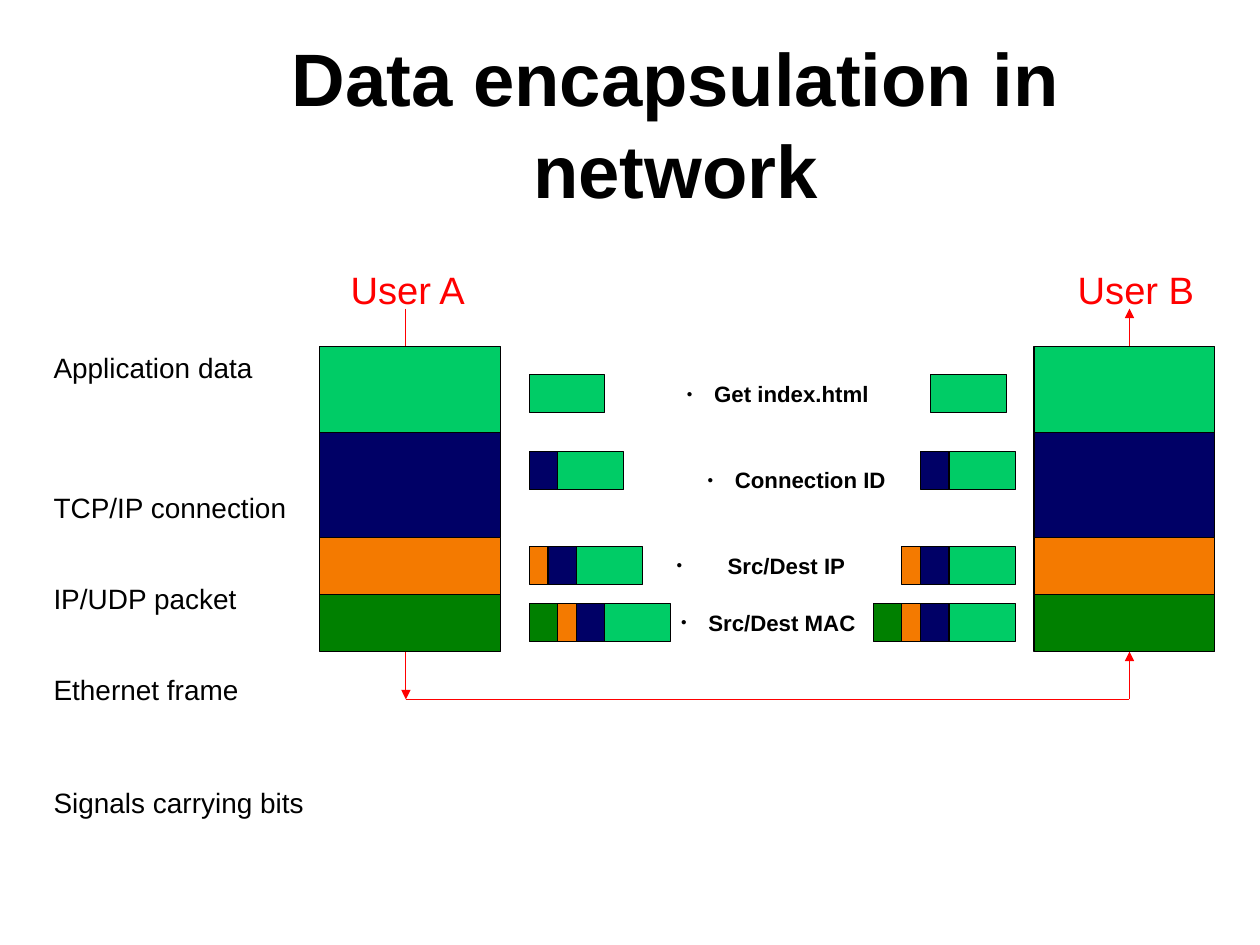
from dataclasses import dataclass

import pptx
import pptx.dml.color
import pptx.enum.shapes
import pptx.enum.text
import pptx.oxml.ns
import pptx.util
from lxml import etree
from pptx.util import Cm

ALIGN = pptx.enum.text.PP_ALIGN
ANCHOR = pptx.enum.text.MSO_ANCHOR


@dataclass(frozen=True)
class Theme:
    font: str = "Arial"
    text: str = "000000"
    accent: str = "FF0000"
    data: str = "00CC66"
    tcp: str = "000066"
    ip: str = "F47A00"
    ethernet: str = "008000"
    title_size: float = 46.8
    user_size: float = 24
    level_size: float = 17.6
    label_size: float = 14
    line_width: float = 0.75


@dataclass(frozen=True)
class Box:
    """A region of the slide, in centimetres."""
    left: float
    top: float
    width: float
    height: float

    def lengths(self):
        return Cm(self.left), Cm(self.top), Cm(self.width), Cm(self.height)


@dataclass(frozen=True)
class Layer:
    """A protocol layer; segments are (colour, start, length), payload first."""
    colour: str
    height: float
    packet_drop: float
    segments: tuple


THEME = Theme()
SEGMENT_UNIT = 0.21
PACKET_HEIGHT = 0.84
LAYERS = (
    Layer(THEME.data, 1.91, 0.63, ((THEME.data, 0, 8),)),
    Layer(THEME.tcp, 2.33, 0.43, ((THEME.data, 2, 8), (THEME.tcp, 0, 3))),
    Layer(THEME.ip, 1.27, 0.21,
          ((THEME.data, 4, 8), (THEME.tcp, 1, 4), (THEME.ip, 0, 2))),
    Layer(THEME.ethernet, 1.27, 0.21,
          ((THEME.data, 7, 8), (THEME.tcp, 4, 4), (THEME.ip, 1, 4),
           (THEME.ethernet, 0, 3))),
)
# Text, space before in points
LEVELS = (
    ("Application data", 0),
    ("TCP/IP connection", 67),
    ("IP/UDP packet", 36),
    ("Ethernet frame", 36),
    ("Signals carrying bits", 50),
)
# Text, left, top, hanging indent
PACKET_LABELS = (
    ("Get index.html", 15.01, 8.33, 0.61),
    ("Connection ID", 15.47, 10.24, 0.61),
    ("Src/Dest IP", 14.78, 12.14, 1.14),
    ("Src/Dest MAC", 14.88, 13.41, 0.61),
)


def rgb(colour):
    return pptx.dml.color.RGBColor.from_string(colour)


def add_child(parent, tag, **attributes):
    return etree.SubElement(parent, pptx.oxml.ns.qn(tag), attributes)


def add_bullet(paragraph, indent):
    properties = paragraph._p.get_or_add_pPr()
    properties.set("marL", str(Cm(indent)))
    properties.set("indent", str(-Cm(indent)))
    add_child(add_child(properties, "a:buClr"), "a:srgbClr", val=THEME.text)
    add_child(properties, "a:buSzPct", val="45000")
    add_child(properties, "a:buFont", typeface=THEME.font)
    add_child(properties, "a:buChar", char="●")


def write_text(paragraph, text, *, size, colour=THEME.text, bold=False,
               align=ALIGN.LEFT, space_before=0, line_spacing=None,
               bullet_indent=None):
    paragraph.alignment = align
    if space_before:
        paragraph.space_before = pptx.util.Pt(space_before)
    if line_spacing:
        paragraph.line_spacing = line_spacing
    if bullet_indent:
        add_bullet(paragraph, bullet_indent)
    run = paragraph.add_run()
    run.text = text
    run.font.name = THEME.font
    run.font.size = pptx.util.Pt(size)
    run.font.bold = bold
    run.font.color.rgb = rgb(colour)


def add_text_frame(slide, box):
    frame = slide.shapes.add_textbox(*box.lengths()).text_frame
    frame.word_wrap = True
    return frame


def add_block(slide, box, colour):
    block = slide.shapes.add_shape(
        pptx.enum.shapes.MSO_SHAPE.RECTANGLE, *box.lengths())
    block.shadow.inherit = False
    block.fill.solid()
    block.fill.fore_color.rgb = rgb(colour)
    block.line.color.rgb = rgb(THEME.text)
    block.line.width = pptx.util.Pt(THEME.line_width)


def add_line(slide, start, end, arrow=True):
    line = slide.shapes.add_connector(
        pptx.enum.shapes.MSO_CONNECTOR.STRAIGHT,
        *(Cm(value) for value in start + end))
    line.line.color.rgb = rgb(THEME.accent)
    line.line.width = pptx.util.Pt(THEME.line_width)
    if arrow:
        add_child(line.line._get_or_add_ln(), "a:tailEnd", type="triangle")
    add_child(line._element.spPr, "a:effectLst")


def add_title(slide, box):
    title = slide.shapes.title
    title.left, title.top, title.width, title.height = box.lengths()
    frame = title.text_frame
    frame.auto_size = pptx.enum.text.MSO_AUTO_SIZE.NONE
    frame.vertical_anchor = ANCHOR.MIDDLE
    write_text(frame.paragraphs[0], "Data encapsulation in network",
               size=THEME.title_size, bold=True, align=ALIGN.CENTER,
               line_spacing=1.04)


def add_levels(slide, box):
    frame = add_text_frame(slide, box)
    frame.margin_left = frame.margin_right = 0
    frame.margin_top = frame.margin_bottom = 0
    for index, (text, space_before) in enumerate(LEVELS):
        paragraph = frame.add_paragraph() if index else frame.paragraphs[0]
        write_text(paragraph, text, size=THEME.level_size,
                   space_before=space_before)


def add_signal_route(slide, box):
    """Run the signal down the left edge, along the bottom and up the right."""
    right, bottom = box.left + box.width, box.top + box.height
    stack_middle, stack_bottom = bottom - 1.7, bottom - 1.06
    add_line(slide, (box.left, box.top), (box.left, stack_middle))
    add_line(slide, (right, stack_middle), (right, box.top))
    add_line(slide, (box.left, bottom), (right, bottom), arrow=False)
    add_line(slide, (box.left, stack_bottom), (box.left, bottom))
    add_line(slide, (right, bottom), (right, stack_bottom))


def add_user(slide, box, name, name_shift):
    """Stack the layers in the box under the user's name."""
    top = box.top
    for layer in LAYERS:
        add_block(slide, Box(box.left, top, box.width, layer.height),
                  layer.colour)
        top += layer.height
    frame = add_text_frame(
        slide, Box(box.left + name_shift, box.top - 1.91, 3.4, 1.27))
    write_text(frame.paragraphs[0], name, size=THEME.user_size,
               colour=THEME.accent)


def add_packets(slide, box):
    """Draw each layer's packet at the left and right edges of the box."""
    top = box.top
    for layer in LAYERS:
        length = max(start + size for _, start, size in layer.segments)
        inset = 0.2 if len(layer.segments) == 1 else 0
        right_start = box.left + box.width - inset - length * SEGMENT_UNIT
        for packet_left in (box.left, right_start):
            for colour, start, size in layer.segments:
                add_block(slide, Box(packet_left + start * SEGMENT_UNIT,
                                     top + layer.packet_drop,
                                     size * SEGMENT_UNIT, PACKET_HEIGHT),
                          colour)
        top += layer.height
    for text, left, label_top, indent in PACKET_LABELS:
        frame = add_text_frame(slide, Box(left, label_top, 4.6, PACKET_HEIGHT))
        write_text(frame.paragraphs[0], text, size=THEME.label_size,
                   bold=True, bullet_indent=indent)


def main():
    presentation = pptx.Presentation()
    presentation.slide_width, presentation.slide_height = Cm(28), Cm(21)
    slide = presentation.slides.add_slide(presentation.slide_layouts[5])
    add_title(slide, Box(3.81, 0.58, 22.4, 4.22))
    add_signal_route(slide, Box(9.02, 6.86, 16.08, 8.68))
    add_user(slide, Box(7.11, 7.7, 4.02, 6.78), "User A", 0.43)
    add_user(slide, Box(22.98, 7.7, 4.02, 6.78), "User B", 0.72)
    add_packets(slide, Box(11.76, 7.7, 10.8, 6.78))
    add_levels(slide, Box(1.19, 7.8, 7.19, 8.61))
    presentation.save("out.pptx")


if __name__ == "__main__":
    main()
